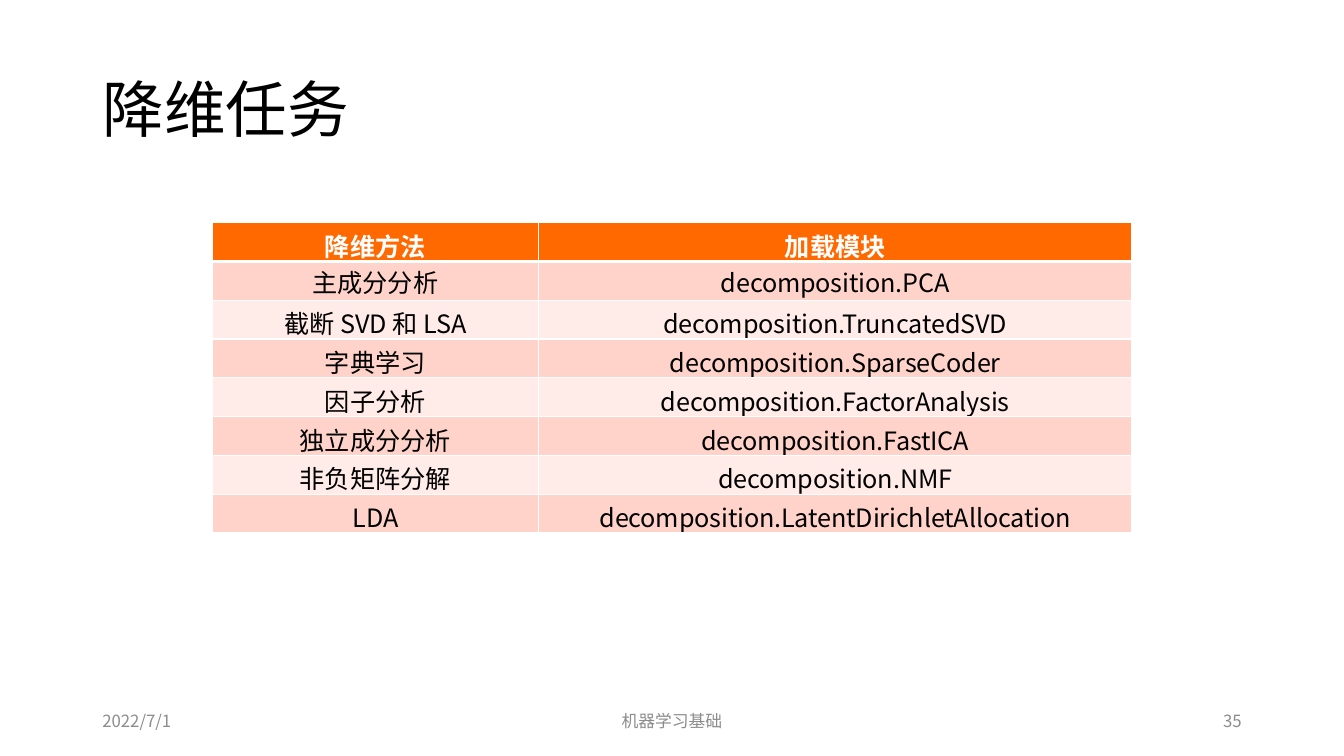
from dataclasses import dataclass

import pptx
import pptx.dml.color
import pptx.enum.text
import pptx.oxml.ns
import pptx.util
from lxml import etree

PX = 9525
FONT = "Noto Sans CJK SC"
ALIGN = pptx.enum.text.PP_ALIGN
MIDDLE = pptx.enum.text.MSO_ANCHOR.MIDDLE
COLORS = {
    "text": "000000",
    "footer": "8C8C8C",
    "white": "FFFFFF",
    "header": "FF6900",
    "odd": "FFD3CA",
    "even": "FFEBE7",
}
COLUMN_WIDTHS = (311, 565)
ROW_HEIGHT = 37


@dataclass(frozen=True)
class Footer:
    text: str
    left: int
    width: int
    align: ALIGN


@dataclass(frozen=True)
class Method:
    name: str
    module: str


FOOTERS = (
    Footer("2022/7/1", 88, 288, ALIGN.LEFT),
    Footer("机器学习基础", 424, 432, ALIGN.CENTER),
    Footer("35", 904, 288, ALIGN.RIGHT),
)
ROWS = (
    Method("降维方法", "加载模块"),
    Method("主成分分析", "decomposition.PCA"),
    Method("截断 SVD 和 LSA", "decomposition.TruncatedSVD"),
    Method("字典学习", "decomposition.SparseCoder"),
    Method("因子分析", "decomposition.FactorAnalysis"),
    Method("独立成分分析", "decomposition.FastICA"),
    Method("非负矩阵分解", "decomposition.NMF"),
    Method("LDA", "decomposition.LatentDirichletAllocation"),
)


def px(value: int) -> pptx.util.Emu:
    return pptx.util.Emu(value * PX)


def rgb(name: str) -> pptx.dml.color.RGBColor:
    return pptx.dml.color.RGBColor.from_string(COLORS[name])


def write(tf, text: str, size: int, color: str, align: ALIGN, bold: bool = False):
    tf.text = text
    p = tf.paragraphs[0]
    p.alignment = align
    font = p.font
    font.size = pptx.util.Pt(size)
    font.bold = bold
    font.color.rgb = rgb(color)
    font.name = FONT
    latin = p._p.pPr.find(".//" + pptx.oxml.ns.qn("a:latin"))
    ea = etree.Element(pptx.oxml.ns.qn("a:ea"), typeface=FONT)
    latin.addnext(ea)
    return p


def add_border(cell, side: str, points: int) -> None:
    tc_pr = cell._tc.get_or_add_tcPr()
    ln = etree.SubElement(tc_pr, pptx.oxml.ns.qn(f"a:ln{side}"), w=str(pptx.util.Pt(points)))
    fill = etree.SubElement(ln, pptx.oxml.ns.qn("a:solidFill"))
    etree.SubElement(fill, pptx.oxml.ns.qn("a:srgbClr"), val=COLORS["white"])


def format_cell(cell, row: int, col: int, text: str) -> None:
    is_header = row == 0
    for side in "LRTB":
        under_header = (row, side) in ((0, "B"), (1, "T"))
        add_border(cell, side, 3 if under_header else 1)
    cell.fill.solid()
    cell.fill.fore_color.rgb = rgb("header" if is_header else "odd" if row % 2 else "even")
    cell.margin_left = cell.margin_right = cell.margin_bottom = 0
    cell.margin_top = px(2 if row == 1 else 4)
    color = "white" if is_header else "text"
    p = write(cell.text_frame, text, 18, color, ALIGN.CENTER, is_header)
    p.space_before = pptx.util.Pt(1.6 if row == 1 else 2.6)
    if col == 1 and not is_header:
        p.runs[0]._r.get_or_add_rPr().set("spc", "-10")


def add_methods_table(s) -> None:
    frame = s.shapes.add_table(
        len(ROWS), len(COLUMN_WIDTHS), px(202), px(212),
        px(sum(COLUMN_WIDTHS)), px(ROW_HEIGHT * len(ROWS)),
    )
    table = frame.table
    for column, width in zip(table.columns, COLUMN_WIDTHS):
        column.width = px(width)
    for row, method in enumerate(ROWS):
        for col, text in enumerate((method.name, method.module)):
            format_cell(table.cell(row, col), row, col, text)


def add_footer(s, footer: Footer) -> None:
    sp = s.shapes.add_textbox(px(footer.left), px(667), px(footer.width), px(38))
    tf = sp.text_frame
    tf.word_wrap = True
    tf.vertical_anchor = MIDDLE
    write(tf, footer.text, 12, "footer", footer.align)


def add_title(s) -> None:
    sp = s.shapes.title
    sp.left, sp.top, sp.width, sp.height = px(88), px(38), px(1104), px(139)
    sp.text_frame.vertical_anchor = MIDDLE
    p = write(sp.text_frame, "降维任务", 44, "text", ALIGN.LEFT)
    p.line_spacing = 0.9


def main() -> None:
    prs = pptx.Presentation()
    prs.slide_width, prs.slide_height = px(1280), px(720)
    s = prs.slides.add_slide(prs.slide_layouts[5])
    add_title(s)
    for footer in FOOTERS:
        add_footer(s, footer)
    add_methods_table(s)
    prs.save("out.pptx")


if __name__ == "__main__":
    main()
